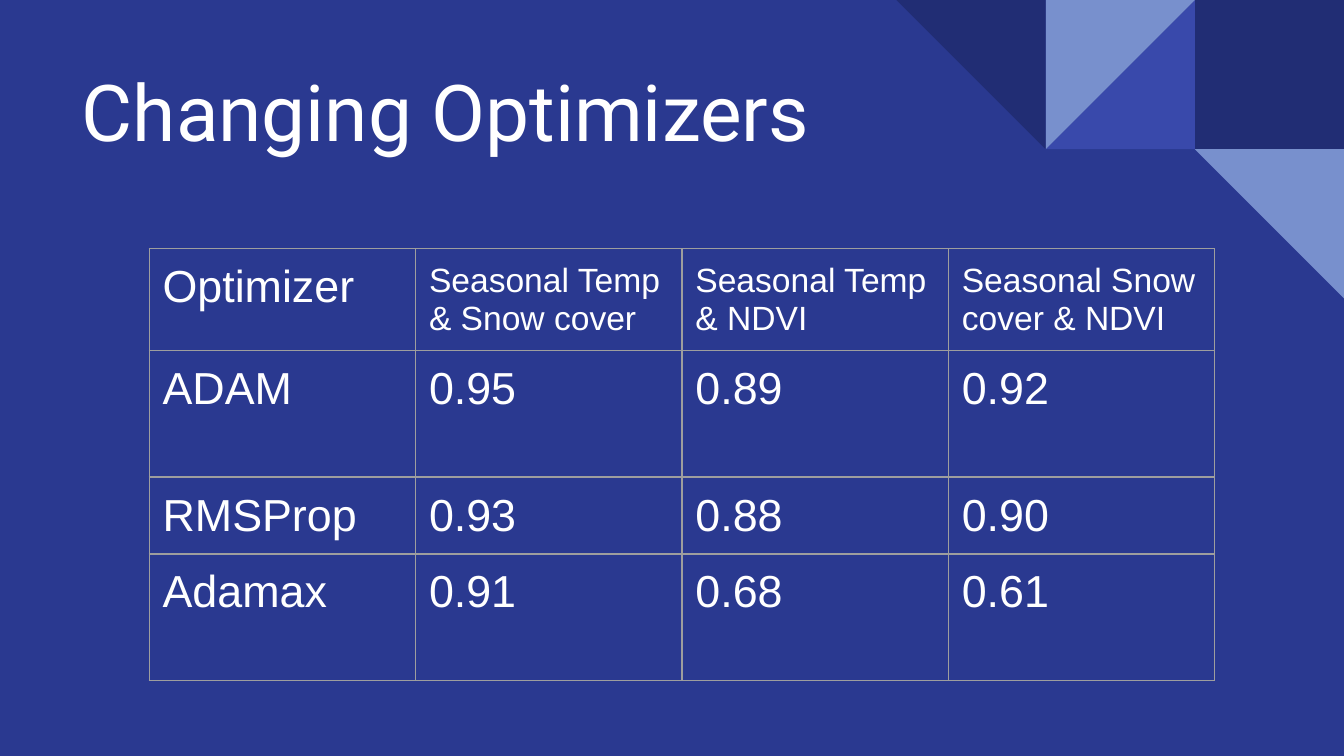
"""Build the optimizer comparison slide with its table and corner triangles."""
from lxml.etree import SubElement
from pptx import Presentation
from pptx.dml.color import RGBColor
from pptx.enum.shapes import MSO_SHAPE
from pptx.enum.text import MSO_ANCHOR, PP_ALIGN
from pptx.oxml.ns import qn
from pptx.util import Inches, Pt

COLORS = {"bg": "2A3990", "navy": "212D74", "indigo": "3949AB",
          "sky": "7890CD", "text": "FFFFFF", "border": "9E9E9E"}
TITLE = "Changing Optimizers"
ROWS = [
    ("Optimizer", "Seasonal Temp & Snow cover", "Seasonal Temp & NDVI", "Seasonal Snow cover & NDVI"),
    ("ADAM", "0.95", "0.89", "0.92"),
    ("RMSProp", "0.93", "0.88", "0.90"),
    ("Adamax", "0.91", "0.68", "0.61"),
]
ROW_HEIGHTS = [0.76, 0.94, 0.57, 0.94]
TABLE_WIDTH = 7.93
SLIDE_WIDTH = 10
SLIDE_HEIGHT = SLIDE_WIDTH * 9 / 16
TILE = 1.11
TILES = [
    (2, 0, MSO_SHAPE.RECTANGLE, 0, "navy"),
    (1, 0, MSO_SHAPE.RIGHT_TRIANGLE, 270, "indigo"),
    (1, 0, MSO_SHAPE.RIGHT_TRIANGLE, 90, "sky"),
    (0, 0, MSO_SHAPE.RIGHT_TRIANGLE, 180, "navy"),
    (2, 1, MSO_SHAPE.RIGHT_TRIANGLE, 180, "sky"),
]


def rgb(name):
    return RGBColor.from_string(COLORS[name])


def set_margins(obj):
    obj.margin_left = obj.margin_right = obj.margin_top = obj.margin_bottom = Inches(0.1)


def format_text(tf, size, font):
    for p in tf.paragraphs:
        p.alignment = PP_ALIGN.LEFT
        for r in p.runs:
            r.font.size = Pt(size)
            r.font.name = font
            r.font.color.rgb = rgb("text")


def add_borders(cell):
    tcPr = cell._tc.get_or_add_tcPr()
    for i, side in enumerate(("lnL", "lnR", "lnT", "lnB")):
        ln = SubElement(tcPr, qn(f"a:{side}"), w=str(Pt(0.75)))
        fill = SubElement(ln, qn("a:solidFill"))
        SubElement(fill, qn("a:srgbClr"), val=COLORS["border"])
        tcPr.insert(i, ln)


def add_tiles(s):
    left = SLIDE_WIDTH - 3 * TILE
    for col, row, kind, angle, color in TILES:
        sp = s.shapes.add_shape(kind, Inches(left + col * TILE), Inches(row * TILE),
                                Inches(TILE), Inches(TILE))
        sp.rotation = angle
        sp.shadow.inherit = False
        sp.fill.solid()
        sp.fill.fore_color.rgb = rgb(color)
        sp.line.fill.background()


def add_title(s):
    title = s.shapes.title
    title.left, title.top, title.width, title.height = map(Inches, (0.51, 0.34, 8.99, 0.93))
    tf = title.text_frame
    tf.text = TITLE
    tf.word_wrap = True
    tf.vertical_anchor = MSO_ANCHOR.BOTTOM
    set_margins(tf)
    format_text(tf, 42, "Roboto")


def add_results(s):
    cols = len(ROWS[0])
    table = s.shapes.add_table(len(ROWS), cols, Inches(1.11), Inches(1.85),
                               Inches(TABLE_WIDTH), Inches(sum(ROW_HEIGHTS))).table
    table.first_row = table.horz_banding = False
    for column in table.columns:
        column.width = Inches(TABLE_WIDTH / cols)
    for i, values in enumerate(ROWS):
        table.rows[i].height = Inches(ROW_HEIGHTS[i])
        for j, value in enumerate(values):
            cell = table.cell(i, j)
            cell.text_frame.text = value
            set_margins(cell)
            cell.fill.background()
            add_borders(cell)
            format_text(cell.text_frame, 18 if i == 0 and j > 0 else 24, "Arial")


def main():
    prs = Presentation()
    prs.slide_width, prs.slide_height = Inches(SLIDE_WIDTH), Inches(SLIDE_HEIGHT)
    s = prs.slides.add_slide(prs.slide_layouts[5])
    s.background.fill.solid()
    s.background.fill.fore_color.rgb = rgb("bg")
    add_tiles(s)
    add_title(s)
    add_results(s)
    prs.save("out.pptx")


if __name__ == "__main__":
    main()
